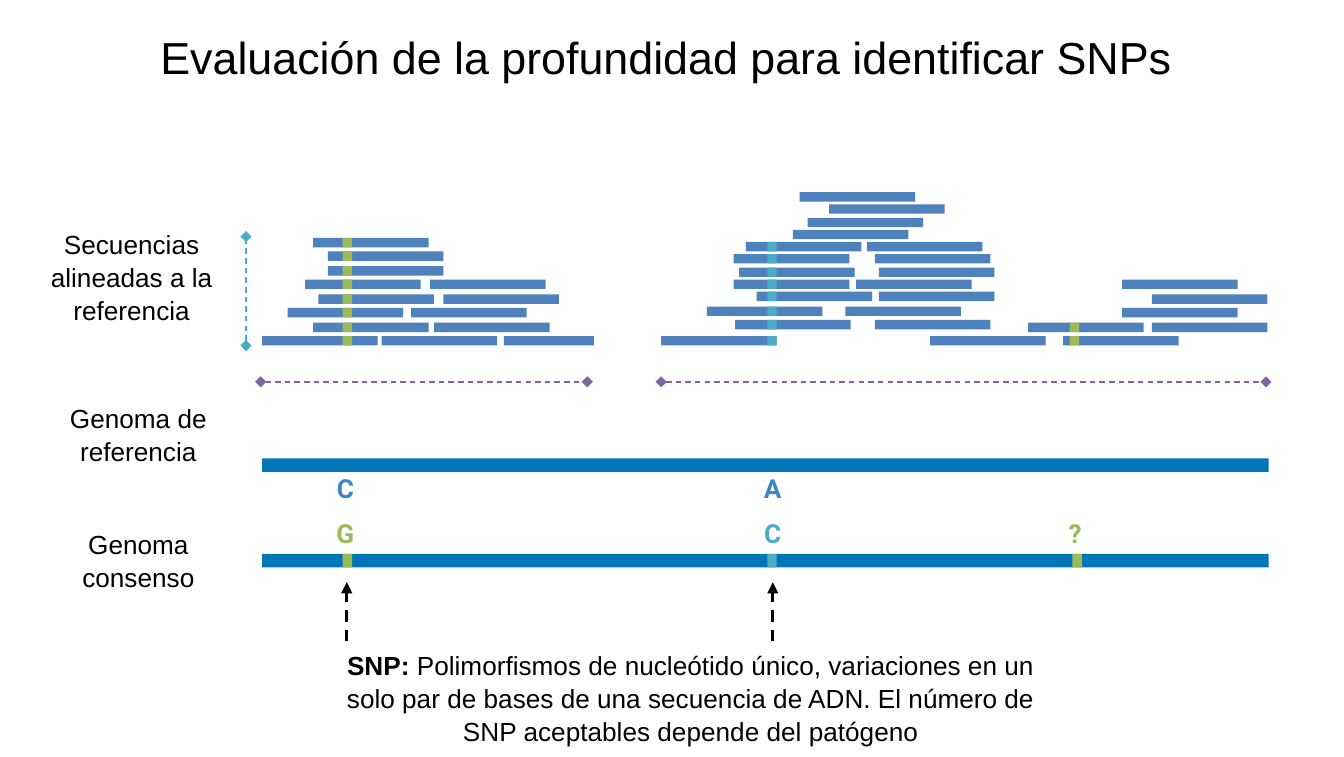
from lxml.etree import SubElement
from pptx import Presentation
from pptx.dml.color import RGBColor
from pptx.enum.dml import MSO_LINE
from pptx.enum.shapes import MSO_CONNECTOR, MSO_SHAPE
from pptx.enum.text import MSO_ANCHOR, MSO_AUTO_SIZE, PP_ALIGN
from pptx.oxml.ns import qn
from pptx.util import Inches, Pt

COLORS = {
    "read": "4F81BD",
    "genome": "0076B9",
    "green": "9BBB59",
    "teal": "4BACC6",
    "purple": "8064A2",
    "base": "3D85C6",
    "black": "000000",
}


def add_text(sp, text, box, size=14, font="Arial", color="black", bold=False,
             anchor=MSO_ANCHOR.TOP, spacing=1.05):
    sp.left, sp.top, sp.width, sp.height = [Inches(v) for v in box]
    tf = sp.text_frame
    tf.word_wrap = True
    tf.auto_size = MSO_AUTO_SIZE.NONE
    tf.vertical_anchor = anchor
    tf.margin_left = tf.margin_right = tf.margin_top = tf.margin_bottom = Inches(0.1)
    p = tf.paragraphs[0]
    p.alignment = PP_ALIGN.CENTER
    p.line_spacing = spacing
    r = p.add_run()
    r.text = text
    r.font.size = Pt(size)
    r.font.name = font
    r.font.bold = bold
    r.font.color.rgb = RGBColor.from_string(COLORS[color])


def add_line(s, start, end, color, width, **ends):
    line = s.shapes.add_connector(
        MSO_CONNECTOR.STRAIGHT, *[Inches(v) for v in (*start, *end)])
    line.line.color.rgb = RGBColor.from_string(COLORS[color])
    line.line.width = Pt(width)
    line.line.dash_style = MSO_LINE.DASH
    ln = line.line._get_or_add_ln()
    for tag, kind in ends.items():
        SubElement(ln, qn(f"a:{tag}"), type=kind)
    SubElement(line._element.spPr, qn("a:effectLst"))


prs = Presentation()
prs.slide_width, prs.slide_height = Inches(10), Inches(5.63)
s = prs.slides.add_slide(prs.slide_layouts[5])
add_text(s.shapes.title, "Evaluación de la profundidad para identificar SNPs",
         (0.69, 0.08, 8.53, 0.68), size=24, anchor=MSO_ANCHOR.MIDDLE, spacing=1)

READ_W, READ_H, SNP_W, GENOME_H = 0.86, 0.07, 0.07, 0.1
GENOME_X, GENOME_W, REFERENCE_Y, CONSENSUS_Y = 1.95, 7.49, 3.41, 4.12
SNP_1, SNP_2, DOUBTFUL = 2.55, 5.71, 7.96

read_rows = {
    1.43: [5.95],
    1.52: [6.17],
    1.62: [6.01],
    1.71: [5.9],
    1.77: [2.33],
    1.8: [5.55, 6.45],
    1.87: [2.44],
    1.89: [5.46, 6.51],
    1.98: [2.44],
    1.99: [5.5, 6.54],
    2.08: [2.27, 3.2, 5.46, 6.37, 8.35],
    2.17: [5.63, 6.54],
    2.19: [2.37, 3.3, 8.57],
    2.28: [5.26, 6.29],
    2.29: [2.14, 3.06, 8.35],
    2.38: [5.47, 6.51],
    2.4: [2.33, 3.23, 7.65, 8.57],
    2.5: [1.95, 2.84, 4.92, 6.92, 7.91],
}
snp_columns = [
    (SNP_1, "green", [1.77, 1.87, 1.98, 2.08, 2.19, 2.29, 2.4, 2.5]),
    (SNP_2, "teal", [1.8, 1.89, 1.99, 2.08, 2.17, 2.28, 2.38, 2.5]),
    (DOUBTFUL, "green", [2.4, 2.5]),
]

bars = [(x, y, READ_W, READ_H, "read") for y, xs in read_rows.items() for x in xs]
bars.append((3.75, 2.5, 0.67, READ_H, "read"))
bars += [(GENOME_X, y, GENOME_W, GENOME_H, "genome") for y in (REFERENCE_Y, CONSENSUS_Y)]
bars += [(x, y, SNP_W, READ_H, color) for x, color, ys in snp_columns for y in ys]
bars += [(x, CONSENSUS_Y, SNP_W, GENOME_H, color)
         for x, color in ((SNP_1, "green"), (SNP_2, "teal"), (7.98, "green"))]
for x, y, w, h, color in bars:
    sp = s.shapes.add_shape(MSO_SHAPE.RECTANGLE, *[Inches(v) for v in (x, y, w, h)])
    sp.shadow.inherit = False
    sp.fill.solid()
    sp.fill.fore_color.rgb = RGBColor.from_string(COLORS[color])
    sp.line.fill.background()

for start, end, color in [
    ((1.94, 2.84), (4.37, 2.84), "purple"),
    ((4.92, 2.84), (9.42, 2.84), "purple"),
    ((1.83, 2.57), (1.83, 1.76), "teal"),
]:
    add_line(s, start, end, color, 0.75, headEnd="diamond", tailEnd="diamond")
for x in (2.58, 5.75):
    add_line(s, (x, 4.77), (x, 4.33), "black", 1.5, tailEnd="triangle")

for text, x, y, color in [
    ("C", 2.37, 3.4, "base"),
    ("G", 2.37, 3.74, "green"),
    ("A", 5.55, 3.4, "base"),
    ("C", 5.55, 3.74, "teal"),
    ("?", 7.8, 3.74, "green"),
]:
    add_text(s.shapes.add_textbox(0, 0, 0, 0), text, (x, y, 0.4, 0.37),
             font="Roboto", color=color, bold=True)

for text, x, y in [
    ("Secuencias alineadas a la referencia", 0.25, 1.59),
    ("Genoma de referencia", 0.3, 2.88),
    ("Genoma consenso", 0.3, 3.82),
]:
    add_text(s.shapes.add_textbox(0, 0, 0, 0), text, (x, y, 1.46, 0.89))

definition = s.shapes.add_textbox(0, 0, 0, 0)
for text, bold in [
    ("SNP: ", True),
    ("Polimorfismos de nucleótido único, variaciones en un solo par de bases de una "
     "secuencia de ADN. El número de SNP aceptables depende del patógeno", False),
]:
    add_text(definition, text, (2.37, 4.72, 5.54, 0.89), bold=bold)

prs.save("out.pptx")
